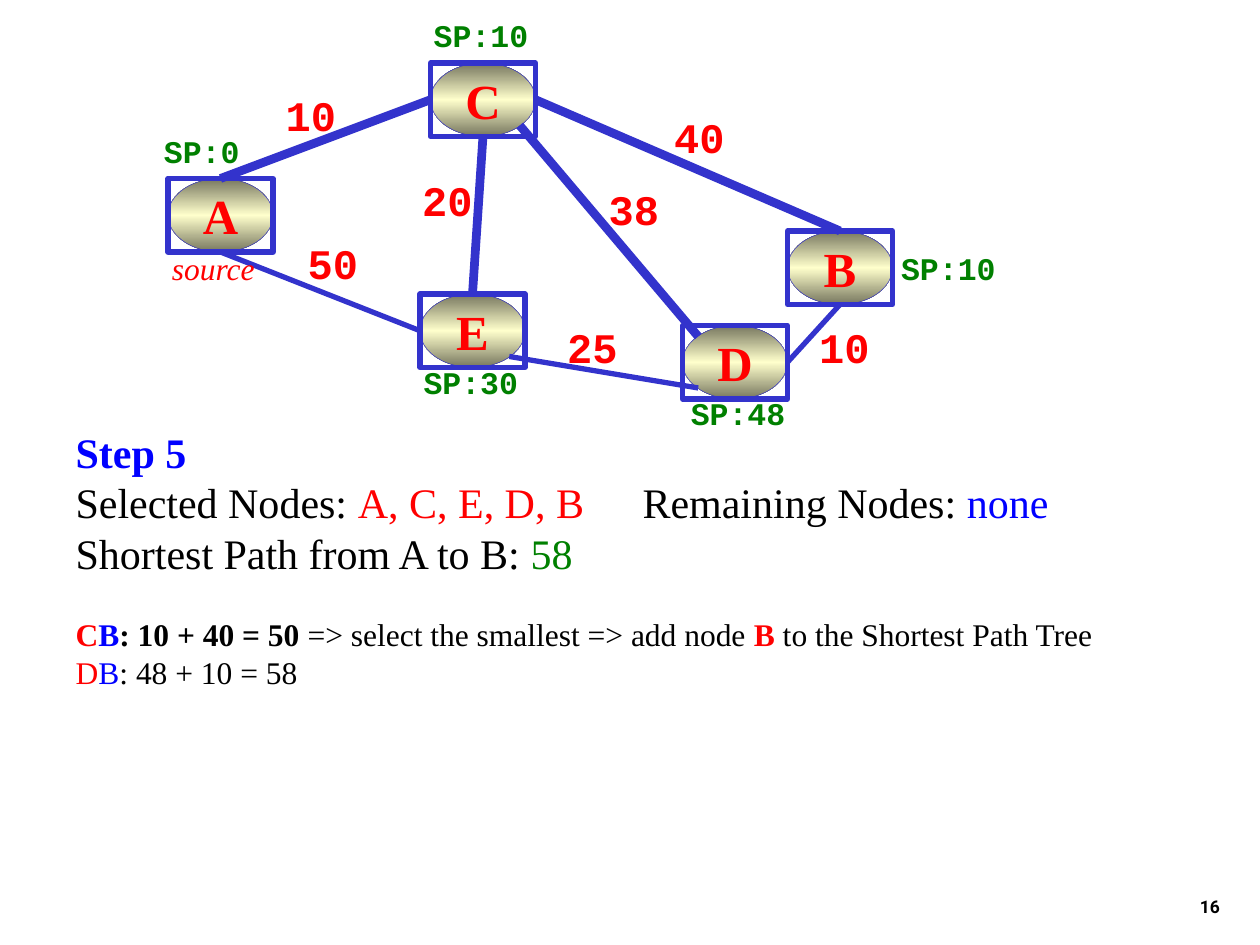
"""Build the slide for step 5 of the shortest path example."""
from copy import deepcopy

from lxml import etree
from pptx import Presentation
from pptx.dml.color import RGBColor
from pptx.enum import shapes, text
from pptx.oxml import ns
from pptx.util import Pt

RED = RGBColor(0xFF, 0x00, 0x00)
BLUE = RGBColor(0x00, 0x00, 0xFF)
GREEN = RGBColor(0x00, 0x80, 0x00)
BLACK = RGBColor(0x00, 0x00, 0x00)
EDGE = RGBColor(0x33, 0x33, 0xCC)
DARK = RGBColor(0x76, 0x76, 0x5E)
LIGHT = RGBColor(0xFF, 0xFF, 0xCC)
SERIF, MONO, SANS = "Times New Roman", "Courier New", "Roboto"

NODE_W, NODE_H = 60, 42
NODES = {"A": (96, 102), "B": (450, 132), "E": (240, 168), "D": (390, 186), "C": (246, 36)}
SITES = {
    "top": (0.5, 0), "bottom": (0.5, 1), "left": (0, 0.5), "right": (1, 0.5),
    "upper left": (0.15, 0.15), "lower left": (0.15, 0.85), "lower right": (0.85, 0.85),
}
EDGES = [
    ("C", "left", "A", "top", 5), ("C", "bottom", "E", "top", 5),
    ("E", "left", "A", "bottom", 3), ("C", "lower right", "D", "upper left", 5),
    ("C", "right", "B", "top", 5), ("D", "lower left", "E", "lower right", 3),
    ("D", "right", "B", "bottom", 3),
]
WEIGHTS = [
    ("10", 156, 47.5), ("50", 168.5, 132), ("40", 378, 60), ("20", 234, 96),
    ("38", 340.5, 101.5), ("25", 316.8, 180), ("10", 460.8, 180),
]
DISTANCES = [
    ("SP:0", 86.4, 72, 57.6), ("SP:10", 240.5, 5.8, 68.4), ("SP:30", 234.7, 203.8, 68.4),
    ("SP:48", 387.4, 221.8, 68.4), ("SP:10", 507.6, 139, 68.4),
]
STEP = [
    (24, 0, [("Step 5", BLUE, True)]),
    (24, 0, [("Selected Nodes: ", BLACK, False), ("A, C, E, D, B\t", RED, False),
             ("Remaining Nodes: ", BLACK, False), ("none", BLUE, False)]),
    (24, 0, [("Shortest Path from A to B: ", BLACK, False), ("58", GREEN, False)]),
    (18, 21.6, [("C", RED, True), ("B", BLUE, True), (": 10 + 40 = 50 ", BLACK, True),
                ("=> select the smallest => add node ", BLACK, False), ("B", RED, True),
                (" to the Shortest Path Tree", BLACK, False)]),
    (18, 0, [("D", RED, False), ("B", BLUE, False), (": 48 + 10 = 58", BLACK, False)]),
]


def add_run(p, content, size=18, font=SERIF, color=BLACK, bold=False, italic=False):
    """Append formatted text to a paragraph."""
    r = p.add_run()
    r.text = content
    r.font.size, r.font.name = Pt(size), font
    r.font.bold, r.font.italic = bold, italic
    r.font.color.rgb = color


def add_label(slide, content, x, y, w, h, anchor=text.MSO_ANCHOR.TOP, **fmt):
    """Add a right-aligned one-line text box."""
    tf = slide.shapes.add_textbox(Pt(x), Pt(y), Pt(w), Pt(h)).text_frame
    tf.word_wrap = False
    tf.vertical_anchor = anchor
    p = tf.paragraphs[0]
    p.alignment = text.PP_ALIGN.RIGHT
    add_run(p, content, **fmt)


def add_outline(slide, kind, name, width):
    """Add an outlined shape over a node's area."""
    x, y = NODES[name]
    sp = slide.shapes.add_shape(kind, Pt(x), Pt(y), Pt(NODE_W), Pt(NODE_H))
    sp.shadow.inherit = False
    sp.line.color.rgb = EDGE
    sp.line.width = Pt(width)
    return sp


def add_node(slide, name):
    """Add a shaded ellipse with the node's letter."""
    sp = add_outline(slide, shapes.MSO_SHAPE.OVAL, name, 0.25)
    sp.fill.gradient()
    sp.fill.gradient_angle = 90
    stops = sp._element.spPr.find(".//" + ns.qn("a:gsLst"))
    stops.append(deepcopy(stops[-1]))
    for stop, position, color in zip(sp.fill.gradient_stops, (0, 0.5, 1), (DARK, LIGHT, DARK)):
        stop.position = position
        stop.color.rgb = color
    tf = sp.text_frame
    tf.word_wrap = False
    tf.vertical_anchor = text.MSO_ANCHOR.MIDDLE
    p = tf.paragraphs[0]
    p.alignment = text.PP_ALIGN.CENTER
    add_run(p, name, size=28, color=RED, bold=True)


def add_frame(slide, name):
    """Add the rectangle that marks a node as selected."""
    add_outline(slide, shapes.MSO_SHAPE.RECTANGLE, name, 3).fill.background()


def site_point(name, site):
    """Return the place of a site on a node."""
    x, y = NODES[name]
    fx, fy = SITES[site]
    return Pt(x + fx * NODE_W), Pt(y + fy * NODE_H)


def add_edge(slide, start, start_site, end, end_site, width):
    """Draw a line between two nodes."""
    cxn = slide.shapes.add_connector(
        shapes.MSO_CONNECTOR.STRAIGHT, *site_point(start, start_site), *site_point(end, end_site))
    cxn.line.color.rgb = EDGE
    cxn.line.width = Pt(width)
    etree.SubElement(cxn._element.spPr, ns.qn("a:effectLst"))


def fill_body(sp):
    """Write the step's explanation into the body placeholder."""
    sp.left, sp.top, sp.width, sp.height = Pt(36), Pt(240), Pt(642), Pt(158.4)
    tf = sp.text_frame
    tf.auto_size = text.MSO_AUTO_SIZE.NONE
    for i, (size, space, runs) in enumerate(STEP):
        p = tf.paragraphs[0] if i == 0 else tf.add_paragraph()
        p.space_before = Pt(space)
        pPr = p._p.get_or_add_pPr()
        pPr.set("marL", "0")
        pPr.set("indent", "0")
        etree.SubElement(pPr, ns.qn("a:buNone"))
        for content, color, bold in runs:
            add_run(p, content, size=size, color=color, bold=bold)


def main():
    """Build and save the slide."""
    prs = Presentation()
    prs.slide_width, prs.slide_height = Pt(720), Pt(540)
    slide = prs.slides.add_slide(prs.slide_layouts[1])
    title = slide.shapes.title._element
    title.getparent().remove(title)
    fill_body(slide.placeholders[1])
    add_label(slide, "16", 554.4, 491.8, 149.8, 36, anchor=text.MSO_ANCHOR.BOTTOM,
              size=10, font=SANS, bold=True)
    for name in NODES:
        add_node(slide, name)
    for edge in EDGES:
        add_edge(slide, *edge)
    for content, x, y in WEIGHTS:
        add_label(slide, content, x, y, 43.2, 36, size=24, font=MONO, color=RED, bold=True)
    for name in NODES:
        add_frame(slide, name)
    for content, x, y, w in DISTANCES:
        add_label(slide, content, x, y, w, 28.8, font=MONO, color=GREEN, bold=True)
    add_label(slide, "source", 90.7, 139, 61.9, 28.8, color=RED, italic=True)
    prs.save("out.pptx")


if __name__ == "__main__":
    main()
